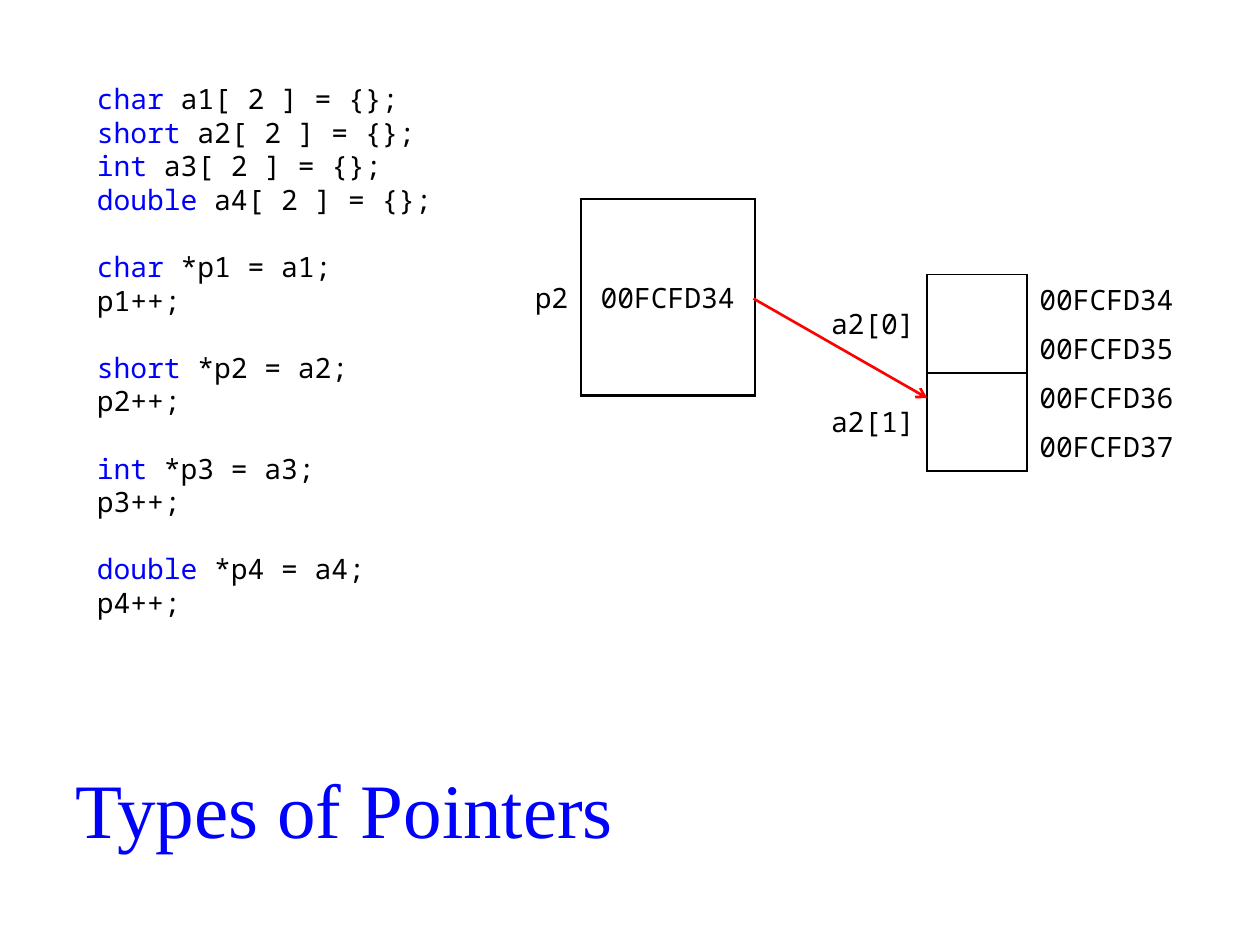
from lxml import etree
from pptx import Presentation
from pptx import util as u
from pptx.dml.color import RGBColor
from pptx.enum import shapes, text
from pptx.oxml import ns

MONO = "Noto Sans Mono"
BLACK, BLUE, RED = "000000", "0000FF", "FF0000"
LEFT, CENTER, RIGHT = text.PP_ALIGN.LEFT, text.PP_ALIGN.CENTER, text.PP_ALIGN.RIGHT
LINE_PITCH = u.Pt(19.2)
ROW_HEIGHT = 0.39
BORDER_TAGS = {"left": "a:lnL", "right": "a:lnR", "top": "a:lnT", "bottom": "a:lnB"}
ELEMENT_BORDERS = {"left": 1.5, "right": 1.5, "top": 1, "bottom": 1}

CODE_GROUPS = [
    [("char", " a1[ 2 ] = {};"), ("short", " a2[ 2 ] = {};"),
     ("int", " a3[ 2 ] = {};"), ("double", " a4[ 2 ] = {};")],
    [("char", " *p1 = a1;"), ("", "p1++;")],
    [("short", " *p2 = a2;"), ("", "p2++;")],
    [("int", " *p3 = a3;"), ("", "p3++;")],
    [("double", " *p4 = a4;"), ("", "p4++;")],
]
ADDRESSES = ["00FCFD34", "00FCFD35", "00FCFD36", "00FCFD37"]


def color(value):
    return RGBColor.from_string(value)


def set_attributes(target, values):
    for name, value in values.items():
        setattr(target, name, value)


def add_run(paragraph, words, hex_color=BLACK, size=16, font=MONO):
    run = paragraph.add_run()
    run.text = words
    set_attributes(run.font, {"size": u.Pt(size), "name": font})
    run.font.color.rgb = color(hex_color)


def set_title(slide, words):
    title = slide.shapes.title
    set_attributes(title, {"left": u.Inches(0.47), "top": u.Inches(5.92),
                           "width": u.Inches(4.53), "height": u.Inches(0.98)})
    set_attributes(title.text_frame, {"word_wrap": False,
                                      "vertical_anchor": text.MSO_ANCHOR.MIDDLE})
    paragraph = title.text_frame.paragraphs[0]
    paragraph.alignment = CENTER
    add_run(paragraph, words, BLUE, 44, "Times New Roman")


def add_code(slide):
    box = slide.shapes.add_textbox(u.Inches(0.67), u.Inches(0.6),
                                   u.Inches(2.95), u.Inches(4.53))
    frame = box.text_frame
    frame.word_wrap = True
    paragraph = frame.paragraphs[0]
    for group_index, group in enumerate(CODE_GROUPS):
        for line_index, (keyword, rest) in enumerate(group):
            if group_index or line_index:
                paragraph = frame.add_paragraph()
            starts_group = group_index > 0 and line_index == 0
            set_attributes(paragraph, {
                "line_spacing": LINE_PITCH,
                "space_before": LINE_PITCH if starts_group else u.Pt(0),
            })
            if keyword:
                add_run(paragraph, keyword, BLUE)
            add_run(paragraph, rest)


def add_plain_table(slide, left, top, columns, row_count):
    frame = slide.shapes.add_table(row_count, len(columns), u.Inches(left), u.Inches(top),
                                   u.Inches(sum(columns)), u.Inches(0.1))
    table = frame.table
    set_attributes(table, {"first_row": False, "horz_banding": False})
    for column, width in zip(table.columns, columns):
        column.width = u.Inches(width)
    for row in table.rows:
        row.height = u.Inches(4 * ROW_HEIGHT / row_count)
    return table


def format_cell(cell, borders):
    properties = cell._tc.get_or_add_tcPr()
    for side, tag in BORDER_TAGS.items():
        line = etree.SubElement(properties, ns.qn(tag))
        if side in borders:
            line.set("w", str(u.Pt(borders[side])))
            fill = etree.SubElement(line, ns.qn("a:solidFill"))
            etree.SubElement(fill, ns.qn("a:srgbClr")).set("val", BLACK)
        else:
            etree.SubElement(line, ns.qn("a:noFill"))
    cell.fill.background()
    set_attributes(cell, {"vertical_anchor": text.MSO_ANCHOR.MIDDLE,
                          "margin_top": u.Inches(0.02), "margin_bottom": u.Inches(0.02)})


def write_cell(cell, words, alignment):
    paragraph = cell.text_frame.paragraphs[0]
    paragraph.alignment = alignment
    add_run(paragraph, words)


def add_array(slide):
    table = add_plain_table(slide, 6.38, 2.18, [0.98, 0.79, 1.38], len(ADDRESSES))
    column_borders = [{"right": 1.5}, ELEMENT_BORDERS, {"left": 1.5}]
    for row, address in enumerate(ADDRESSES):
        for column, borders in enumerate(column_borders):
            format_cell(table.cell(row, column), borders)
        write_cell(table.cell(row, 2), address, LEFT)
    for index in range(2):
        first = 2 * index
        for column in range(2):
            table.cell(first, column).merge(table.cell(first + 1, column))
        write_cell(table.cell(first, 0), f"a2[{index}]", RIGHT)


def add_pointer(slide):
    table = add_plain_table(slide, 4.02, 1.58, [0.59, 1.38], 1)
    name, value = table.cell(0, 0), table.cell(0, 1)
    format_cell(name, {"right": 1.5})
    format_cell(value, dict.fromkeys(BORDER_TAGS, 1.5))
    write_cell(name, "p2", RIGHT)
    write_cell(value, ADDRESSES[0], CENTER)


def add_arrow(slide, start, end):
    arrow = slide.shapes.add_connector(shapes.MSO_CONNECTOR.STRAIGHT,
                                       *map(u.Inches, start + end))
    arrow.line.width = u.Pt(1.5)
    arrow.line.color.rgb = color(RED)
    etree.SubElement(arrow.line._get_or_add_ln(), ns.qn("a:tailEnd")).set("type", "arrow")
    etree.SubElement(arrow._element.spPr, ns.qn("a:effectLst"))


def main():
    presentation = Presentation()
    set_attributes(presentation, {"slide_width": u.Inches(10), "slide_height": u.Inches(7.5)})
    slide = presentation.slides.add_slide(presentation.slide_layouts[5])
    set_title(slide, "Types of Pointers")
    add_code(slide)
    add_array(slide)
    add_pointer(slide)
    add_arrow(slide, (5.98, 2.37), (7.36, 3.16))
    presentation.save("out.pptx")


if __name__ == "__main__":
    main()
